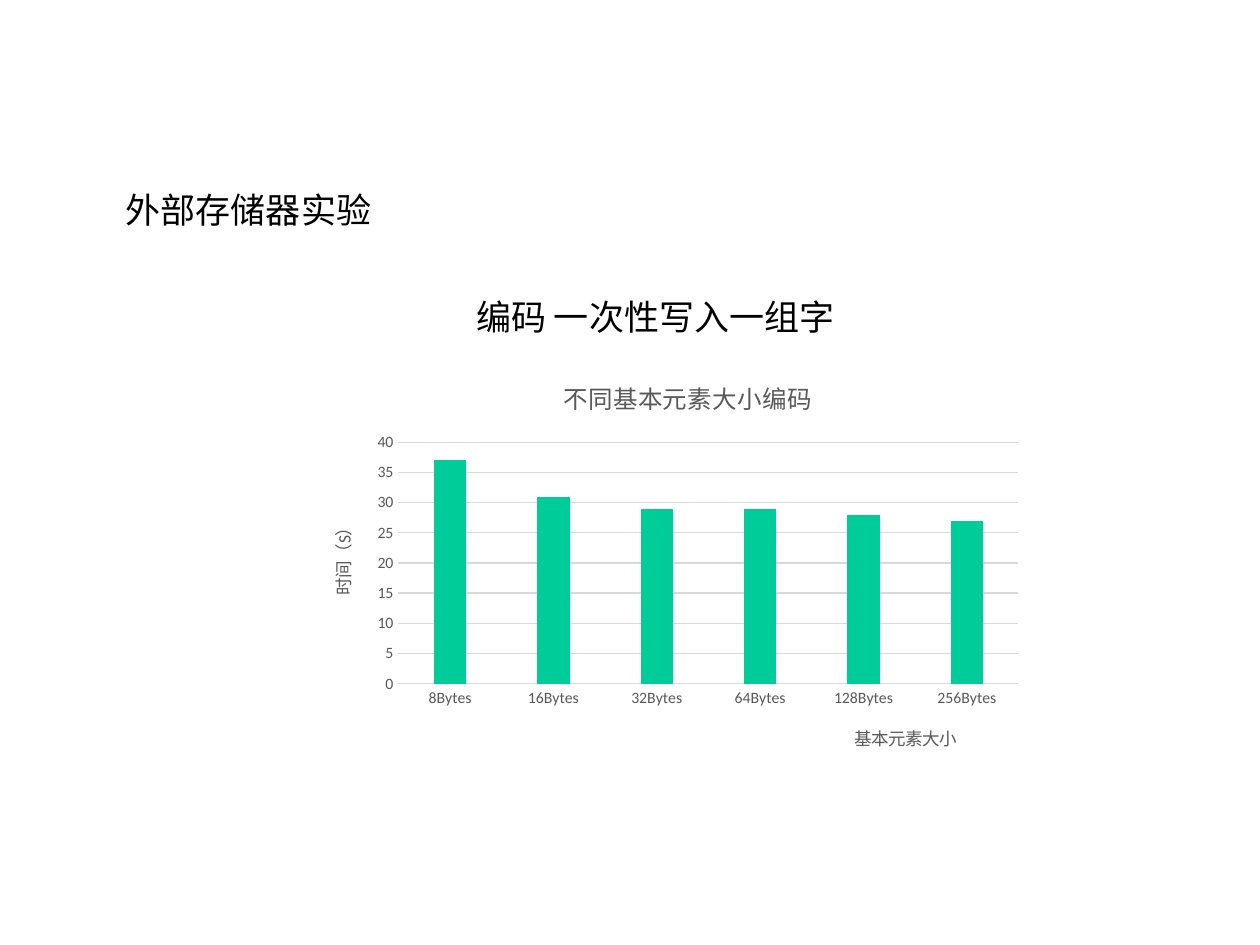
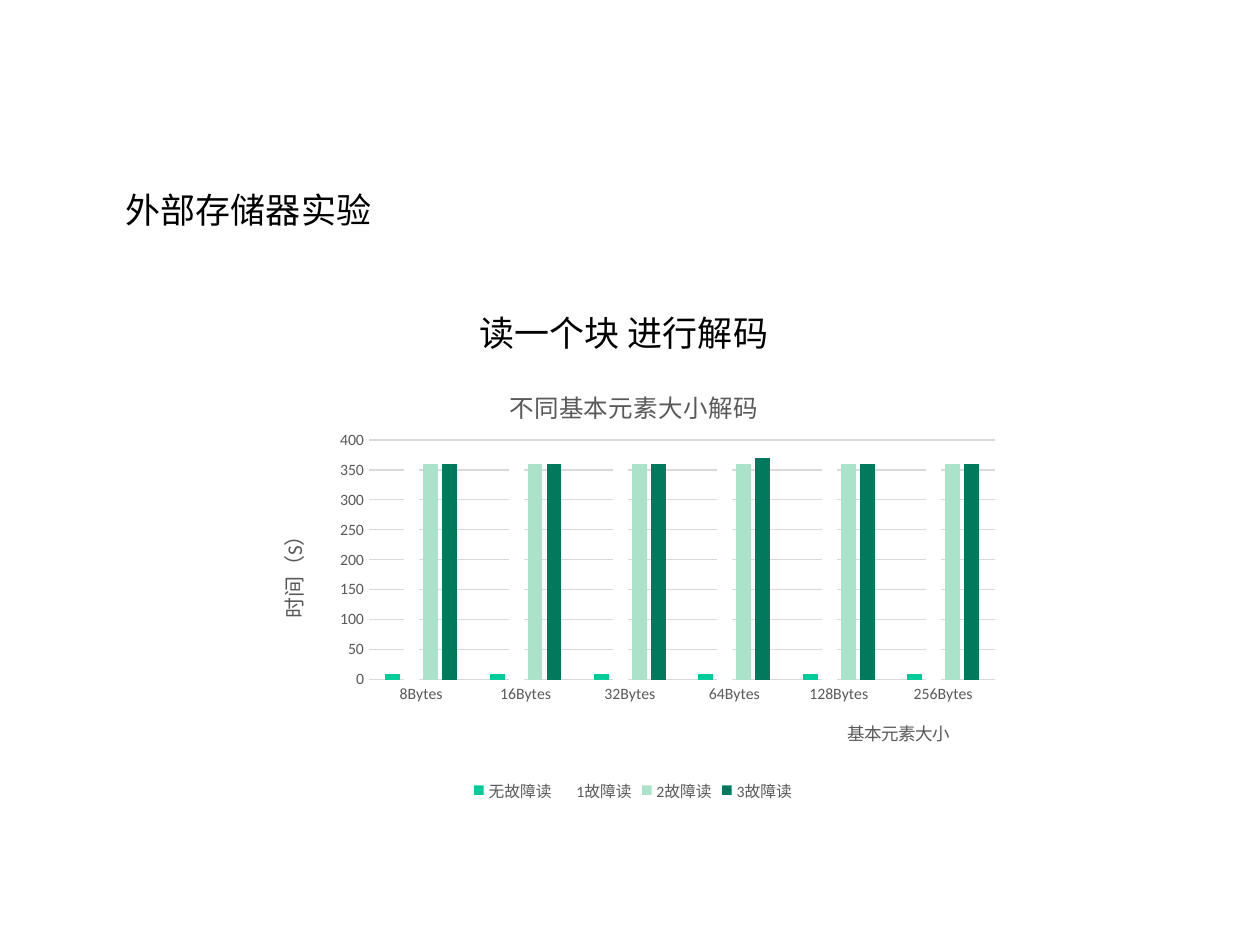
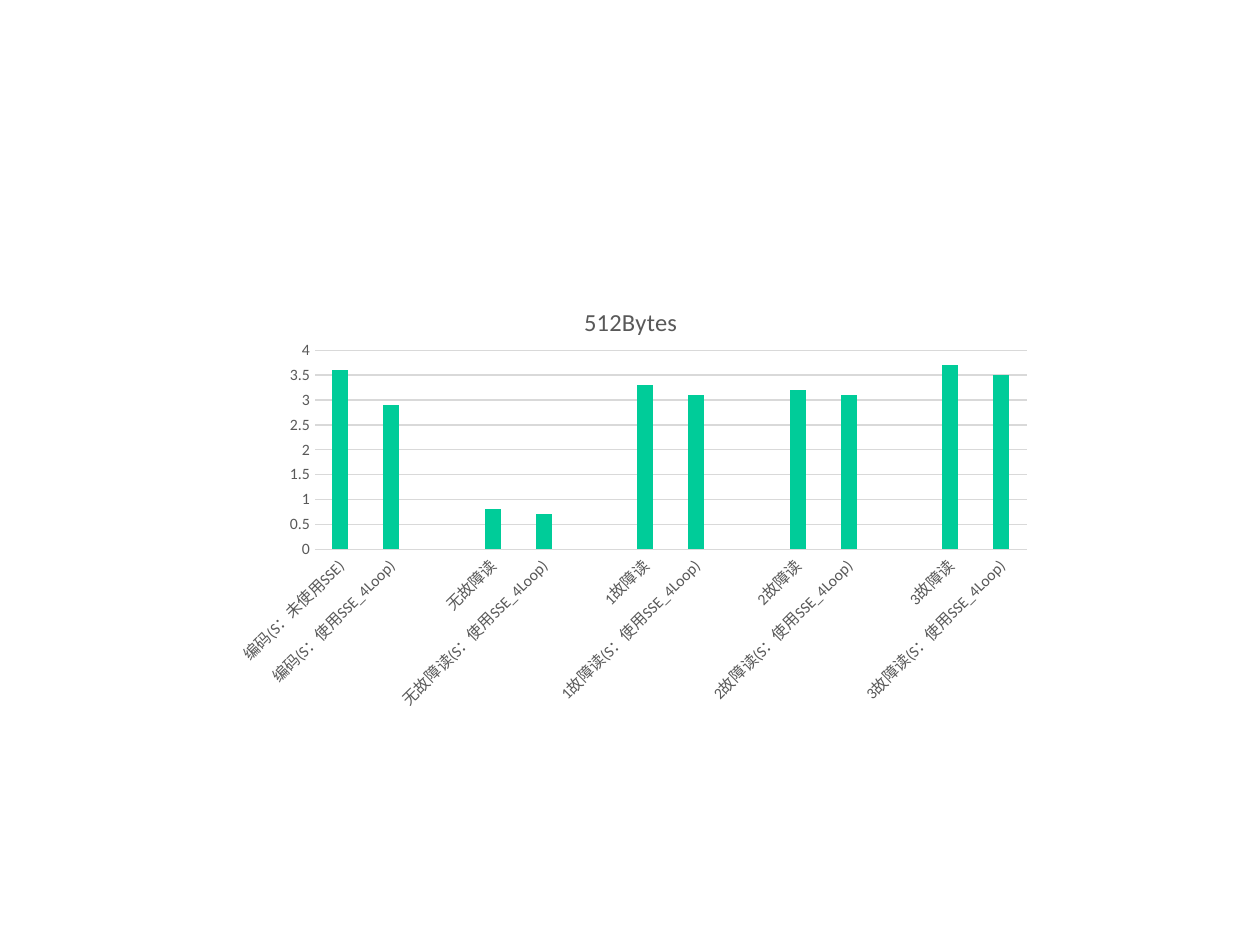
from dataclasses import dataclass

from lxml.etree import SubElement
from pptx import Presentation
from pptx.chart.data import CategoryChartData
from pptx.dml.color import RGBColor
from pptx.enum.chart import XL_CHART_TYPE, XL_LEGEND_POSITION, XL_TICK_MARK
from pptx.enum.text import MSO_AUTO_SIZE, PP_ALIGN
from pptx.oxml import parse_xml
from pptx.oxml.ns import nsdecls, qn
from pptx.util import Inches, Pt

COLS, ROWS = 100, 75
CELL = Inches(0.1)


@dataclass(frozen=True)
class Theme:
    heading_font: str = "Noto Sans CJK SC"
    chart_font: str = "Calibri"
    ink: str = "000000"
    label: str = "595959"
    rule: str = "D9D9D9"
    series: tuple = ("00CC99", "FFFFFF", "AAE2CA", "007A5C")
    heading: int = 20
    chart_title: int = 14
    axis_title: int = 10
    tick: int = 9
    rule_width: float = 0.75


THEME = Theme()
BYTE_SIZES = [f"{2 ** n}Bytes" for n in range(3, 9)]
FAULTS = ["无故障读", "1故障读", "2故障读", "3故障读"]


def grid(*cells):
    """Turn columns and rows of the slide grid into lengths."""
    return [round(c * CELL) for c in cells]


def style_font(font, size, color=THEME.label, name=THEME.chart_font):
    font.size = Pt(size)
    font.bold = False
    font.name = name
    font.color.rgb = RGBColor.from_string(color)


def write_text(tf, text, *, size, align=None, **style):
    p = tf.paragraphs[0]
    p.alignment = align
    r = p.add_run()
    r.text = text
    style_font(r.font, size, **style)
    return r


def add_heading(slide, text, left, top, width):
    tf = slide.shapes.add_textbox(*grid(left, top, width, 4.4)).text_frame
    tf.word_wrap = True
    tf.auto_size = MSO_AUTO_SIZE.SHAPE_TO_FIT_TEXT
    r = write_text(tf, text, size=THEME.heading, align=PP_ALIGN.JUSTIFY,
                   color=THEME.ink, name=THEME.heading_font)
    ea = SubElement(r.font._element, qn("a:ea"))
    ea.set("typeface", THEME.heading_font)


def place(element, x, y, w=None, h=None):
    """Pin a title or plot area at shares of the chart's size."""
    old = element.find(qn("c:layout"))
    if old is not None:
        element.remove(old)
    layout = parse_xml(f"<c:layout {nsdecls('c')}><c:manualLayout/></c:layout>")
    values = {"xMode": "edge", "yMode": "edge", "x": x, "y": y}
    if w is not None:
        values = {"layoutTarget": "inner", **values, "w": w, "h": h}
    for tag, value in values.items():
        SubElement(layout[0], qn(f"c:{tag}")).set("val", str(value))
    element.insert(0 if element.find(qn("c:tx")) is None else 1, layout)


def rotate(element, degrees):
    body = element.xpath(".//a:bodyPr")[0]
    body.set("rot", str(degrees * 60000))
    body.set("vert", "horz")


def set_title(title, text, size, spot):
    write_text(title.text_frame, text, size=size)
    place(title.element, *spot)


def style_line(line):
    line.color.rgb = RGBColor.from_string(THEME.rule)
    line.width = Pt(THEME.rule_width)


def style_axes(chart, top, step):
    for axis in (chart.category_axis, chart.value_axis):
        axis.major_tick_mark = axis.minor_tick_mark = XL_TICK_MARK.NONE
        style_font(axis.tick_labels.font, THEME.tick)
    style_line(chart.category_axis.format.line)
    values = chart.value_axis
    values.minimum_scale, values.maximum_scale = 0, top
    values.major_unit = step
    values.format.line.fill.background()
    values.has_major_gridlines = True
    style_line(values.major_gridlines.format.line)


def add_column_chart(slide, box, categories, series, *, title, title_spot,
                     plot, top, step):
    data = CategoryChartData()
    data.categories = categories
    for name, values in series.items():
        data.add_series(name, values)
    chart = slide.shapes.add_chart(
        XL_CHART_TYPE.COLUMN_CLUSTERED, *grid(*box), data).chart
    style_font(chart.font, THEME.axis_title, THEME.ink)
    chart.has_title = True
    set_title(chart.chart_title, title, THEME.chart_title, title_spot)
    chart.chart_title.include_in_layout = False
    place(chart.element.xpath("c:chart/c:plotArea")[0], *plot)
    bars = chart.plots[0]
    bars.gap_width, bars.overlap, bars.vary_by_categories = 219, -27, False
    for s, color in zip(bars.series, THEME.series):
        s.format.fill.solid()
        s.format.fill.fore_color.rgb = RGBColor.from_string(color)
    style_axes(chart, top, step)
    chart.has_legend = len(series) > 1
    if chart.has_legend:
        chart.legend.position = XL_LEGEND_POSITION.BOTTOM
        chart.legend.include_in_layout = False
        style_font(chart.legend.font, THEME.tick)
    return chart


def add_axis_titles(chart, size_spot, time_spot, time_size=THEME.axis_title):
    set_title(chart.category_axis.axis_title, "基本元素大小",
              THEME.axis_title, size_spot)
    time = chart.value_axis.axis_title
    set_title(time, "时间（S）", time_size, time_spot)
    rotate(time.element, -90)


def add_storage_slide(prs, subtitle, left, top):
    slide = add_slide(prs)
    add_heading(slide, "外部存储器实验", 9, 14.5, 22.1)
    add_heading(slide, subtitle, left, top, 35.1)
    return slide


def add_slide(prs):
    return prs.slides.add_slide(prs.slide_layouts[6])


def encoding_slide(prs):
    slide = add_storage_slide(prs, "编码 一次性写入一组字", 36.8, 23)
    chart = add_column_chart(
        slide, (24.1, 28.6, 57.9, 32.5), BYTE_SIZES,
        {"Series 1": [37, 31, 29, 29, 28, 27]},
        title="不同基本元素大小编码", title_spot=(0.35, 0.03),
        plot=(0.13, 0.2, 0.85, 0.59), top=40, step=5)
    add_axis_titles(chart, (0.75, 0.88), (0.03, 0.38))


def decoding_slide(prs):
    slide = add_storage_slide(prs, "读一个块 进行解码", 37.1, 24.2)
    times = [[10] * 6, [360] * 6, [360] * 6, [360, 360, 360, 370, 360, 360]]
    chart = add_column_chart(
        slide, (20.3, 28.1, 59.9, 35.9), BYTE_SIZES, dict(zip(FAULTS, times)),
        title="不同基本元素大小解码", title_spot=(0.33, 0.06),
        plot=(0.15, 0.19, 0.83, 0.53), top=400, step=50)
    add_axis_titles(chart, (0.78, 0.8), (0.02, 0.37), time_size=12)


def sse_slide(prs):
    """Compare each operation without and with SSE, one gap between pairs."""
    sse = "(S：使用SSE_4Loop)"
    pairs = [("编码(S：未使用SSE)", "编码" + sse)]
    pairs += [(fault, fault + sse) for fault in FAULTS]
    times = [(3.6, 2.9), (0.8, 0.7), (3.3, 3.1), (3.2, 3.1), (3.7, 3.5)]
    categories = [c for pair in pairs for c in (*pair, "")][:-1]
    values = [v for pair in times for v in (*pair, None)][:-1]
    chart = add_column_chart(
        add_slide(prs), (17.1, 21.7, 65.7, 35.9), categories,
        {"512Bytes": values},
        title="512Bytes", title_spot=(0.44, 0.06),
        plot=(0.12, 0.17, 0.86, 0.44), top=4, step=0.5)
    rotate(chart.category_axis._element, -45)


def main():
    prs = Presentation()
    prs.slide_width, prs.slide_height = grid(COLS, ROWS)
    encoding_slide(prs)
    decoding_slide(prs)
    sse_slide(prs)
    prs.save("out.pptx")


if __name__ == "__main__":
    main()
